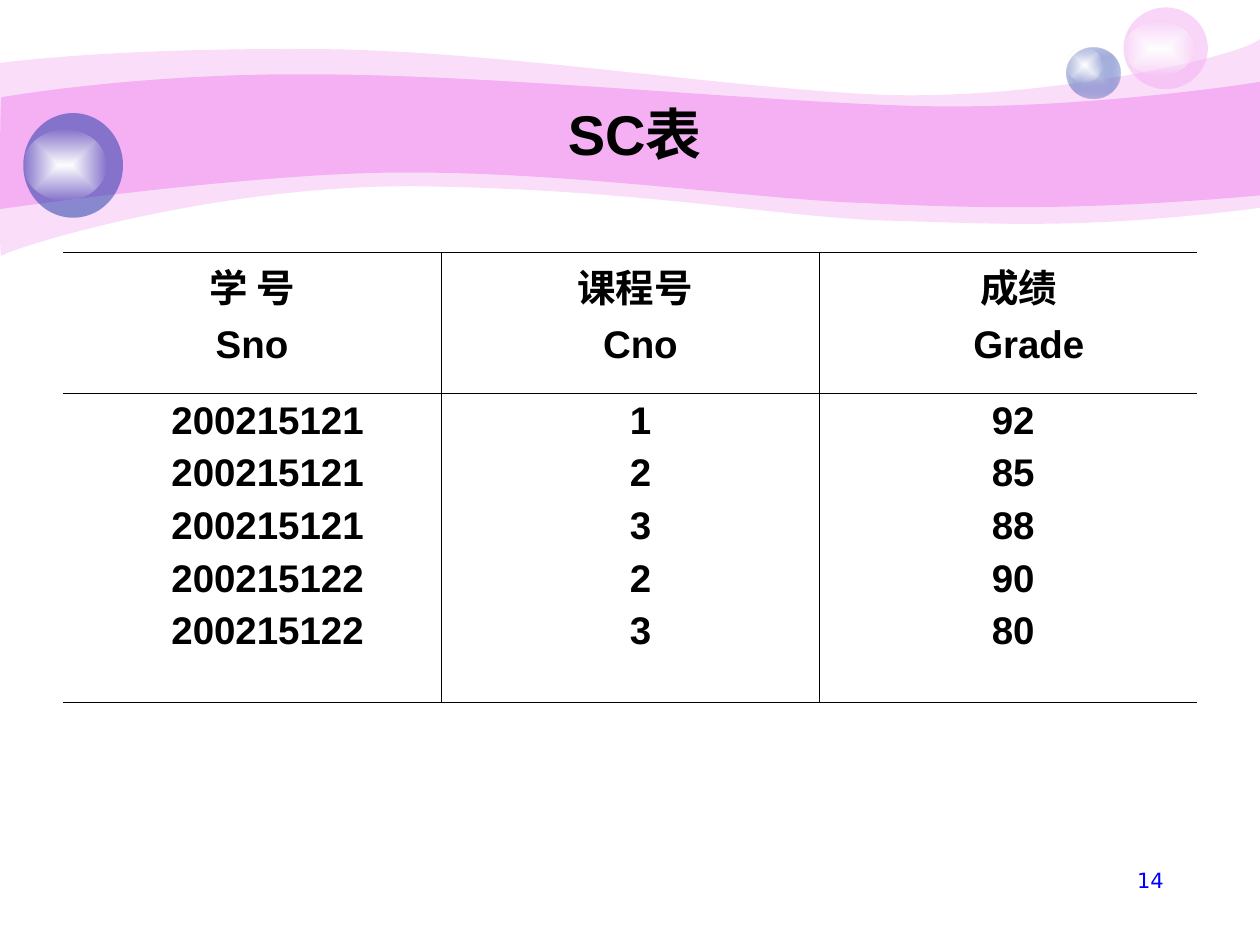
import pptx
import pptx.dml.color
import pptx.enum.shapes
import pptx.enum.text
import pptx.oxml
import pptx.oxml.ns
import pptx.util
from pptx.util import Cm

RGB = pptx.dml.color.RGBColor
BLACK = RGB(0x00, 0x00, 0x00)
WHITE = RGB(0xFF, 0xFF, 0xFF)
PINK = RGB(0xF4, 0xB0, 0xF2)
NAVY = RGB(0x23, 0x3D, 0xA9)
PALE_BLUE = RGB(0xC7, 0xCE, 0xE9)
NUMBER_BLUE = RGB(0x00, 0x00, 0xFF)

CENTER = pptx.enum.text.PP_ALIGN.CENTER
RIGHT = pptx.enum.text.PP_ALIGN.RIGHT
MIDDLE = pptx.enum.text.MSO_ANCHOR.MIDDLE
TOP = pptx.enum.text.MSO_ANCHOR.TOP
A_NS = pptx.oxml.ns.nsdecls("a")
qn = pptx.oxml.ns.qn

# Waves in cm: a start point, then curves (two control points, end) or lines (end).
OUTER_WAVE = [
    [(0, 1.27)],
    [(0.61, 1.19), (2.72, 0.97), (6.27, 0.99)],
    [(9.8, 0.99), (14.61, 1.78), (17.75, 1.91)],
    [(20.88, 2.03), (24.89, 1.19), (25.4, 0.79)],
    [(25.4, 4.19)],
    [(21.79, 4.65), (19.99, 4.5), (17.91, 4.45)],
    [(15.8, 4.39), (13.08, 3.84), (8.71, 3.76)],
    [(4.37, 3.66), (0.1, 5.05), (0.03, 5.16)],
    [(-0.03, 5.28), (0, 1.91), (0, 1.27)],
]
INNER_WAVE = [
    [(0.03, 1.96)],
    [(0.05, 1.96), (2.79, 1.47), (6.3, 1.5)],
    [(9.8, 1.5), (15.11, 2.03), (18.24, 2.13)],
    [(21.36, 2.24), (24.79, 1.75), (25.4, 1.65)],
    [(25.4, 3.94)],
    [(21.67, 4.27), (19.43, 4.19), (17.32, 4.09)],
    [(15.21, 4.01), (11.35, 3.45), (8.05, 3.48)],
    [(5.16, 3.48), (-0.05, 4.22), (-0.03, 4.22)],
    [(0, 4.22), (0, 1.96), (0.03, 1.96)],
]

# Each cell holds lines of (text, indent in widths of a space).
HEADER = [
    [("学 号", 0), ("Sno", 0)],
    [("课程号", 1), ("Cno", 2)],
    [("成绩", 2), ("Grade", 4)],
]
GRADES = [
    ("200215121", "1", "92"),
    ("200215121", "2", "85"),
    ("200215121", "3", "88"),
    ("200215122", "2", "90"),
    ("200215122", "3", "80"),
]
COLUMN_INDENTS = (3, 2, 1)
SPACE_WIDTH = Cm(0.21)


def fill_solid(s, color, opacity=100):
    s.shadow.inherit = False
    s.line.fill.background()
    s.fill.solid()
    s.fill.fore_color.rgb = color
    if opacity < 100:
        clr = s._element.spPr.find(".//" + qn("a:srgbClr"))
        clr.append(pptx.oxml.parse_xml(f'<a:alpha {A_NS} val="{opacity * 1000}"/>'))


def fill_glow(s, inner, outer, outer_opacity):
    """Gradient that runs from the centre of the shape to its edge."""
    fill_solid(s, outer)
    solid = s._element.spPr.find(qn("a:solidFill"))
    grad = pptx.oxml.parse_xml(
        f'<a:gradFill {A_NS} rotWithShape="1"><a:gsLst>'
        f'<a:gs pos="0"><a:srgbClr val="{inner}"/></a:gs>'
        f'<a:gs pos="100000"><a:srgbClr val="{outer}">'
        f'<a:alpha val="{outer_opacity * 1000}"/></a:srgbClr></a:gs></a:gsLst>'
        '<a:path path="rect"><a:fillToRect l="50000" t="50000" r="50000" b="50000"/>'
        '</a:path></a:gradFill>')
    solid.getparent().replace(solid, grad)


def add_wave(slide, wave, opacity):
    """Freeform through all points, its triples then joined into Bezier curves."""
    points = [(x * 100, y * 100) for segment in wave for x, y in segment]
    builder = slide.shapes.build_freeform(*points[0], scale=Cm(0.01))
    builder.add_line_segments(points[1:], close=True)
    s = builder.convert_to_shape()
    lines = iter(list(s._element.spPr.iter(qn("a:lnTo"))))
    for segment in wave[1:]:
        group = [next(lines) for _ in segment]
        if len(group) == 3:
            curve = pptx.oxml.parse_xml(f"<a:cubicBezTo {A_NS}/>")
            group[0].addprevious(curve)
            for line in group:
                curve.append(line[0])
                line.getparent().remove(line)
    fill_solid(s, PINK, opacity)


def add_ellipse(slide, x, y, w, h):
    return slide.shapes.add_shape(pptx.enum.shapes.MSO_SHAPE.OVAL,
                                  Cm(x), Cm(y), Cm(w), Cm(h))


def add_highlight(slide, x, y, w, h):
    fill_glow(add_ellipse(slide, x, y, w, h), WHITE, WHITE, 0)


def add_run(p, text, size, font, color, bold):
    r = p.add_run()
    r.text = text
    r.font.size = pptx.util.Pt(size)
    r.font.name = font
    r.font.color.rgb = color
    r.font.bold = bold


def add_label(slide, box, text, size, font, color, bold, align, anchor):
    tf = slide.shapes.add_textbox(*map(Cm, box)).text_frame
    tf.word_wrap = True
    tf.vertical_anchor = anchor
    p = tf.paragraphs[0]
    p.alignment = align
    add_run(p, text, size, font, color, bold)


def fill_cell(cell, lines):
    tf = cell.text_frame
    for i, (text, indent) in enumerate(lines):
        p = tf.add_paragraph() if i else tf.paragraphs[0]
        p.alignment = CENTER
        if i:
            p.space_before = pptx.util.Pt(5.5)
        if indent:
            p._p.get_or_add_pPr().set("marL", str(indent * SPACE_WIDTH))
        add_run(p, text, 22, "Arial", BLACK, True)


def set_borders(cell, visible):
    tc_pr = cell._tc.get_or_add_tcPr()
    for side in "LRTB":
        paint = (f'<a:solidFill><a:srgbClr val="{BLACK}"/></a:solidFill>'
                 if side in visible else "<a:noFill/>")
        tc_pr.append(pptx.oxml.parse_xml(
            f'<a:ln{side} {A_NS} w="{pptx.util.Pt(0.45)}">{paint}</a:ln{side}>'))
    cell.fill.background()


def add_grade_table(slide):
    table = slide.shapes.add_table(2, 3, Cm(1.27), Cm(5.08), Cm(22.86), Cm(9.08)).table
    table.first_row = table.horz_banding = False
    table.rows[0].height, table.rows[1].height = Cm(2.84), Cm(6.24)
    body = [[(text, indent) for text in column]
            for column, indent in zip(zip(*GRADES), COLUMN_INDENTS)]
    for row, contents in enumerate((HEADER, body)):
        for col, lines in enumerate(contents):
            cell = table.cell(row, col)
            fill_cell(cell, lines)
            set_borders(cell, ("TBR", "TBLR", "TBL")[col])


def main():
    prs = pptx.Presentation()
    prs.slide_width, prs.slide_height = Cm(25.4), Cm(19.05)
    slide = prs.slides.add_slide(prs.slide_layouts[6])

    add_wave(slide, OUTER_WAVE, 41)
    add_wave(slide, INNER_WAVE, 100)

    fill_glow(add_ellipse(slide, 21.51, 0.97, 1.07, 1.02), PALE_BLUE, NAVY, 31)
    add_highlight(slide, 21.51, 0.97, 0.71, 0.69)
    fill_solid(add_ellipse(slide, 22.65, 0.15, 1.7, 1.65), PINK, 53)
    add_highlight(slide, 22.65, 0.43, 1.42, 1.09)
    fill_solid(add_ellipse(slide, 0.47, 2.28, 2.01, 2.11), NAVY, 53)
    add_highlight(slide, 0.47, 2.62, 1.68, 1.42)

    add_label(slide, (2.54, 1.9, 20.52, 1.57), "SC表", 32, "Arial", BLACK, True,
              CENTER, MIDDLE)
    add_grade_table(slide)
    add_label(slide, (18.2, 17.36, 5.51, 1.32), "14", 12, "DejaVu Sans", NUMBER_BLUE,
              False, RIGHT, TOP)
    prs.save("out.pptx")


if __name__ == "__main__":
    main()
